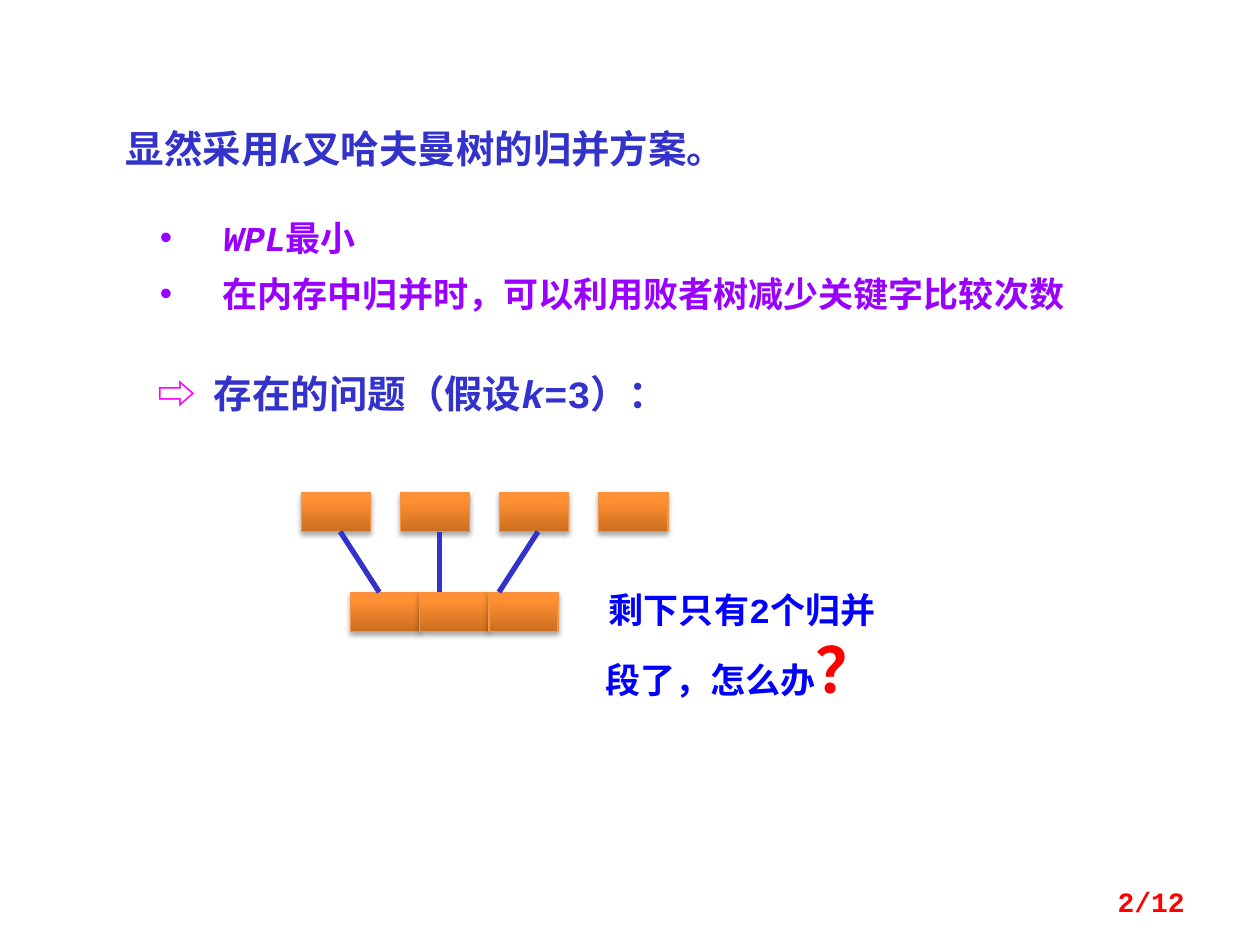
from lxml import etree
from pptx import Presentation
from pptx.dml.color import RGBColor
from pptx.enum.shapes import MSO_CONNECTOR, MSO_SHAPE
from pptx.enum.text import MSO_ANCHOR, PP_ALIGN
from pptx.oxml import parse_xml
from pptx.oxml.ns import nsdecls, qn
from pptx.util import Inches, Pt

RECT = MSO_SHAPE.RECTANGLE
STRAIGHT = MSO_CONNECTOR.STRAIGHT
CENTER, RIGHT = PP_ALIGN.CENTER, PP_ALIGN.RIGHT
MIDDLE = MSO_ANCHOR.MIDDLE
FONT = "Courier New"
INDIGO, PURPLE, BLUE, RED, PINK = "3333CC", "9900FF", "0000FF", "FF0000", "FF00FF"
STOPS = [(0, "CC6E20"), (80, "FF9034"), (100, "FF9136")]


def rgb(value):
    return RGBColor.from_string(value)


def add_text(box, paragraphs):
    """Add a text box; each run is (text, size, colour, italic)."""
    tf = s.shapes.add_textbox(*map(Inches, box)).text_frame
    tf.word_wrap = True
    for i, runs in enumerate(paragraphs):
        p = tf.paragraphs[0] if i == 0 else tf.add_paragraph()
        for text, size, color, italic in runs:
            r = p.add_run()
            r.text = text
            r.font.name = FONT
            r.font.size = Pt(size)
            r.font.bold = True
            r.font.italic = italic
            r.font.color.rgb = rgb(color)
            for tag in ("a:ea", "a:cs"):
                etree.SubElement(r.font._element, qn(tag), typeface=FONT)
    return tf


prs = Presentation()
prs.slide_width, prs.slide_height = Inches(10), Inches(7.5)
s = prs.slides.add_slide(prs.slide_layouts[6])

# Opening statement
add_text((0.9, 0.94, 5.5, 0.47), [[
    ("显然采用", 22, INDIGO, False),
    ("k", 22, INDIGO, True),
    ("叉哈夫曼树的归并方案。", 22, INDIGO, False),
]])

# Merge runs: four separate on top, three adjoining below
box_w, box_h, top_y, low_y = 0.55, 0.31, 3.91, 4.7
corners = [(2.39 + 0.787 * i, top_y) for i in range(4)]
corners += [(2.78 + box_w * i, low_y) for i in range(3)]
for x, y in corners:
    sp = s.shapes.add_shape(RECT, Inches(x), Inches(y), Inches(box_w), Inches(box_h))
    sp.fill.gradient()
    sp.fill.gradient_angle = 90
    stops = sp._element.spPr.find(".//" + qn("a:gsLst"))
    stops.clear()
    for position, color in STOPS:
        gs = etree.SubElement(stops, qn("a:gs"), pos=str(position * 1000))
        etree.SubElement(gs, qn("a:srgbClr"), val=color)
    sp.line.color.rgb = rgb("F69240")
    sp.line.width = Pt(0.75)
    sp.shadow.inherit = False
    sp._element.spPr.find(qn("a:effectLst")).append(parse_xml(
        f'<a:outerShdw {nsdecls("a")} blurRad="{Pt(3.1)}" dist="{Pt(1.8)}" '
        'dir="5400000" rotWithShape="0"><a:srgbClr val="000000">'
        '<a:alpha val="35000"/></a:srgbClr></a:outerShdw>'))

# Merge lines
for x1, x2 in [(2.7, 3.01), (3.49, 3.49), (4.27, 3.96)]:
    line = s.shapes.add_connector(
        STRAIGHT, Inches(x1), Inches(top_y + box_h), Inches(x2), Inches(low_y))
    line.line.color.rgb = rgb(INDIGO)
    line.line.width = Pt(3)
    etree.SubElement(line._element.spPr, qn("a:effectLst"))

# Question about the remaining runs
tf = add_text((4.67, 4.62, 2.44, 1.04), [[
    ("剩下只有2个归并段了，怎么办", 20, BLUE, False),
    ("？", 36, RED, False),
]])
tf.paragraphs[0].alignment = CENTER

# Page number
tf = add_text((7.17, 6.95, 2.33, 0.4), [[("2/12", 16, RED, False)]])
tf.vertical_anchor = MIDDLE
tf.paragraphs[0].alignment = RIGHT

# Problem heading, with the arrow hanging before the text
tf = add_text((1.09, 2.89, 5.16, 0.47), [[
    ("⇨\t", 22, PINK, False),
    ("存在的问题（假设", 22, INDIGO, False),
    ("k", 22, INDIGO, True),
    ("=3）：", 22, INDIGO, False),
]])
pPr = tf.paragraphs[0]._p.get_or_add_pPr()
pPr.set("marL", str(Inches(0.51)))
pPr.set("indent", str(Inches(-0.45)))

# Bulleted advantages
tf = add_text((1.17, 1.56, 8.2, 0.95), [
    [("WPL", 20, PURPLE, True), ("最小", 20, PURPLE, False)],
    [("在内存中归并时，可以利用败者树减少关键字比较次数", 20, PURPLE, False)],
])
for p in tf.paragraphs:
    p.line_spacing = Pt(32)
    pPr = p._p.get_or_add_pPr()
    pPr.set("marL", str(Inches(0.5)))
    pPr.set("indent", str(Inches(-0.5)))
    etree.SubElement(pPr, qn("a:buFont"), typeface="Arial")
    etree.SubElement(pPr, qn("a:buChar"), char="•")

prs.save("out.pptx")
